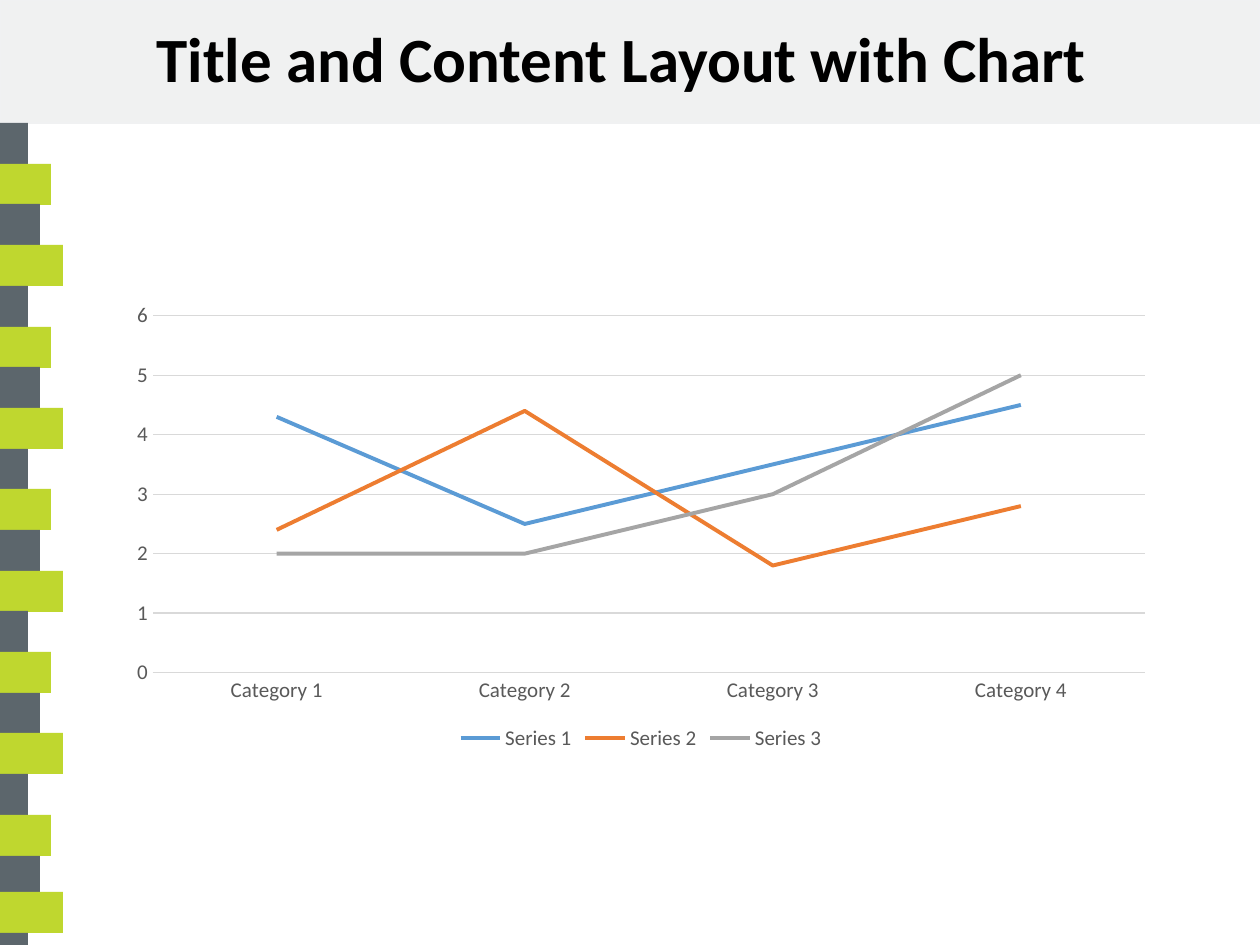
from dataclasses import dataclass

from pptx import Presentation, util as u
from pptx.chart.data import CategoryChartData
from pptx.dml.color import RGBColor
from pptx.enum import chart as ch, shapes, text

SCALE = 914400 // 126  # EMU per pixel


@dataclass(frozen=True)
class Theme:
    font: str = "Calibri"
    title_size: int = 36
    label_size: int = 12
    title: str = "000000"
    label: str = "595959"
    grid: str = "D9D9D9"
    band: str = "F0F1F1"
    band_edge: str = "F0F1F2"
    bars: tuple = ("5C666C", "BFD72F")
    series: tuple = ("5B9BD5", "ED7D31", "A5A5A5")


def px(*lengths):
    return [u.Emu(length * SCALE) for length in lengths]


def apply(target, values):
    for name, value in values.items():
        setattr(target, name, value)


class SlideBuilder:
    def __init__(self, deck, theme):
        self.theme = theme
        self.page = deck.slides.add_slide(deck.slide_layouts[5])

    def style_font(self, font, size, color, bold=False):
        apply(font, {"name": self.theme.font, "size": u.Pt(size), "bold": bold})
        font.color.rgb = RGBColor.from_string(color)

    def style_line(self, line, color, width):
        line.color.rgb = RGBColor.from_string(color)
        line.width = u.Pt(width)

    def rectangle(self, left, top, width, height, fill, edge=None):
        box = self.page.shapes.add_shape(
            shapes.MSO_SHAPE.RECTANGLE, *px(left, top, width, height))
        box.shadow.inherit = False
        box.fill.solid()
        box.fill.fore_color.rgb = RGBColor.from_string(fill)
        if edge:
            self.style_line(box.line, edge, 1)
        else:
            box.line.fill.background()

    def title(self, left, top, width, height, words):
        box = self.page.shapes.title
        apply(box, dict(zip(("left", "top", "width", "height"),
                            px(left, top, width, height))))
        apply(box.text_frame, {"vertical_anchor": text.MSO_ANCHOR.MIDDLE,
                               "word_wrap": True,
                               "auto_size": text.MSO_AUTO_SIZE.NONE})
        para = box.text_frame.paragraphs[0]
        apply(para, {"alignment": text.PP_ALIGN.LEFT, "line_spacing": 0.9})
        span = para.add_run()
        span.text = words
        self.style_font(span.font, self.theme.title_size, self.theme.title, True)
        # Bring the title in front of the band
        box._element.getparent().append(box._element)

    def line_chart(self, left, top, width, height, categories, series):
        theme = self.theme
        data = CategoryChartData()
        data.categories = categories
        for name, values in series.items():
            data.add_series(name, values)
        chart = self.page.shapes.add_chart(
            ch.XL_CHART_TYPE.LINE, *px(left, top, width, height), data).chart
        apply(chart, {"has_title": False, "has_legend": True})
        self.style_font(chart.font, theme.label_size, theme.label)
        apply(chart.legend, {"position": ch.XL_LEGEND_POSITION.BOTTOM,
                             "include_in_layout": False})
        self.style_font(chart.legend.font, theme.label_size, theme.label)

        # Axes
        for axis in (chart.category_axis, chart.value_axis):
            apply(axis, {"major_tick_mark": ch.XL_TICK_MARK.NONE,
                         "minor_tick_mark": ch.XL_TICK_MARK.NONE})
            self.style_font(axis.tick_labels.font, theme.label_size, theme.label)
        self.style_line(chart.category_axis.format.line, theme.grid, 0.75)
        apply(chart.value_axis, {"minimum_scale": 0, "maximum_scale": 6,
                                 "major_unit": 1, "has_major_gridlines": True})
        chart.value_axis.format.line.fill.background()
        self.style_line(chart.value_axis.major_gridlines.format.line,
                        theme.grid, 0.75)

        # Series
        plot = chart.plots[0]
        plot.vary_by_categories = False
        for line, color in zip(plot.series, theme.series):
            line.smooth = False
            line.marker.style = ch.XL_MARKER_STYLE.NONE
            self.style_line(line.format.line, color, 2.25)


deck = Presentation()
WIDTH, HEIGHT = 1260, 945
deck.slide_width, deck.slide_height = px(WIDTH, HEIGHT)
theme = Theme()
slide = SlideBuilder(deck, theme)

# Header band
BAND = 123
slide.rectangle(0, 0, WIDTH, BAND, theme.band, theme.band_edge)

# Side bars: four widths and two colours in turn, the last two set higher
BAR_WIDTHS = (28, 51, 40, 63)
BAR_COUNT, PITCH, BAR_HEIGHT, LIFT = 21, 40.7, 41, 4
for index in range(BAR_COUNT):
    top = BAND + round(index * PITCH) - (LIFT if index >= BAR_COUNT - 2 else 0)
    slide.rectangle(0, top, BAR_WIDTHS[index % 4],
                    min(BAR_HEIGHT, HEIGHT - top), theme.bars[index % 2])

slide.title(144, 1, 1091, 122, "Title and Content Layout with Chart")

# Chart
slide.line_chart(116, 294, 1050, 462,
                 [f"Category {number}" for number in range(1, 5)],
                 {"Series 1": (4.3, 2.5, 3.5, 4.5),
                  "Series 2": (2.4, 4.4, 1.8, 2.8),
                  "Series 3": (2, 2, 3, 5)})

deck.save("out.pptx")
